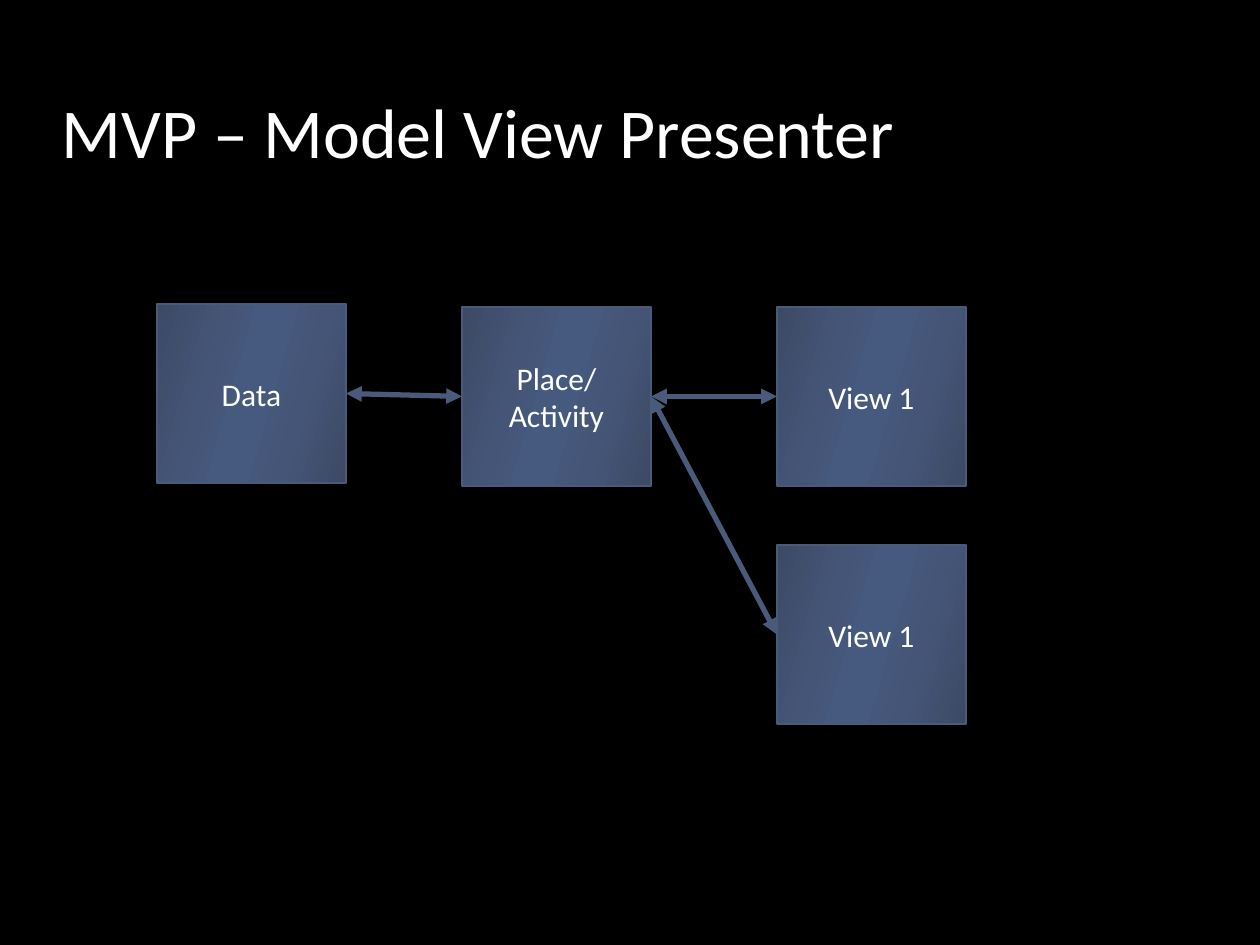
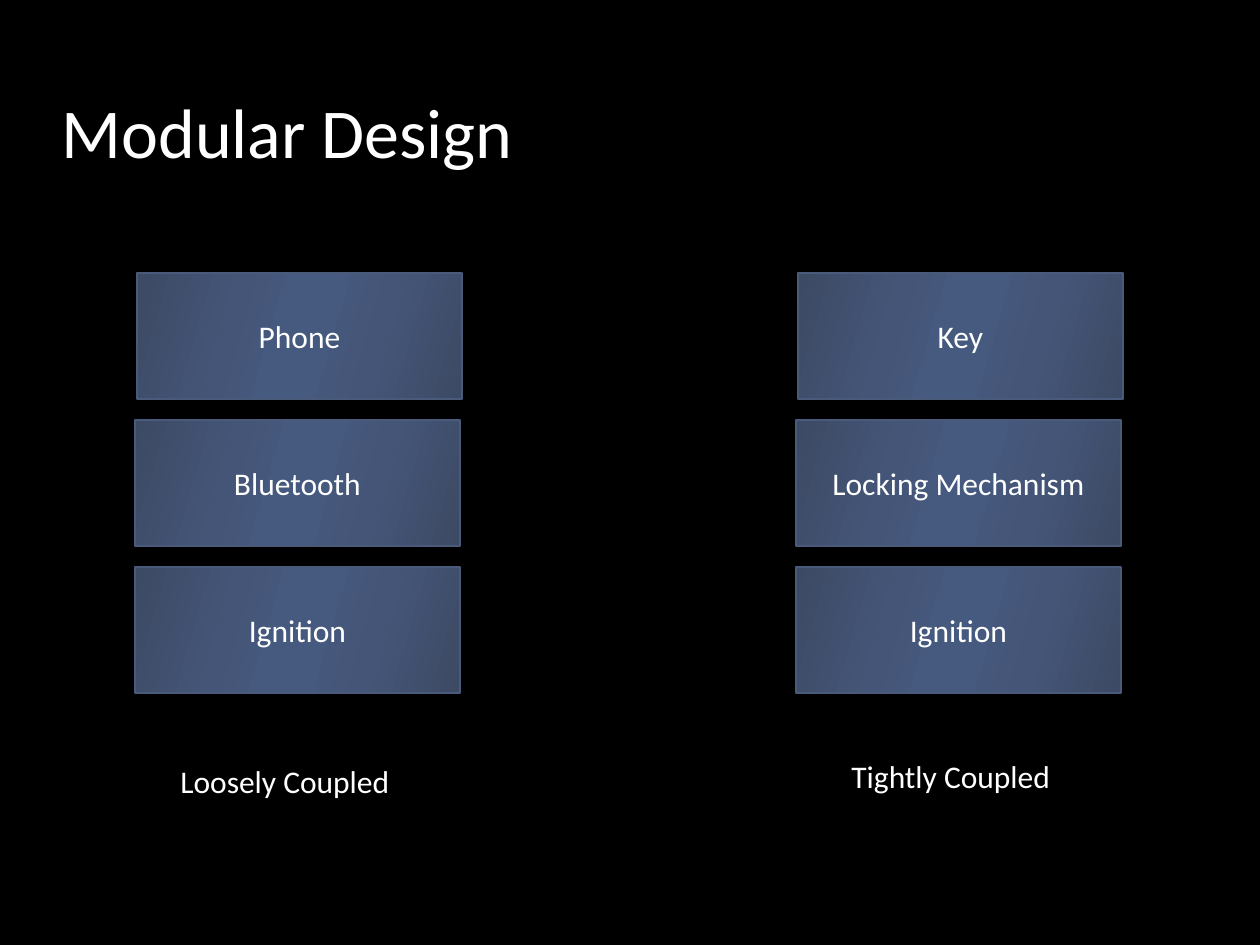
"""Build two dark slides on the MVP pattern and modular design."""
from lxml import etree
from pptx import Presentation
from pptx import util as u
from pptx.dml.color import RGBColor
from pptx.enum import shapes, text
from pptx.oxml.ns import qn

PX = u.Inches(1) / 126
FONT = "Calibri"
BLACK = RGBColor(0x00, 0x00, 0x00)
WHITE = RGBColor(0xFF, 0xFF, 0xFF)
OUTLINE = RGBColor(0x4A, 0x5A, 0x7A)
EDGE = RGBColor(0x3D, 0x4A, 0x64)
MIDDLE = RGBColor(0x44, 0x55, 0x77)
CENTRE = RGBColor(0x46, 0x59, 0x7E)
GRADIENT = [(0, EDGE), (30, MIDDLE), (45, CENTRE), (55, CENTRE), (73, MIDDLE), (100, EDGE)]


def write(box, words, size, align):
    box.text_frame.text = words
    for para in box.text_frame.paragraphs:
        para.alignment = align
        for span in para.runs:
            span.font.size = u.Pt(size)
            span.font.name = FONT
            span.font.color.rgb = WHITE


def add_block(page, words, *place):
    block = page.shapes.add_shape(shapes.MSO_SHAPE.RECTANGLE, *[round(n * PX) for n in place])
    block.shadow.inherit = False
    block.fill.gradient()
    gradient = block.element.spPr.find(qn("a:gradFill"))
    stops = gradient.find(qn("a:gsLst"))
    for stop in list(stops):
        stops.remove(stop)
    for percent, colour in GRADIENT:
        stop = etree.SubElement(stops, qn("a:gs"), pos=str(percent * 1000))
        etree.SubElement(stop, qn("a:srgbClr"), val=str(colour))
    gradient.find(qn("a:lin")).set("ang", str(16 * 60000))
    block.line.color.rgb = OUTLINE
    block.line.width = u.Pt(0.75)
    block.text_frame.vertical_anchor = text.MSO_ANCHOR.MIDDLE
    write(block, words, 18, text.PP_ALIGN.CENTER)
    return block


deck = Presentation()
deck.slide_width, deck.slide_height = u.Inches(10), u.Inches(7.5)
background = deck.slide_master.background.fill
background.solid()
background.fore_color.rgb = BLACK

pages = []
for heading in ["MVP – Model View Presenter", "Modular Design"]:
    page = deck.slides.add_slide(deck.slide_layouts[5])
    title = page.shapes.title
    title.left, title.top, title.width, title.height = [round(n * PX) for n in (49, 31, 1058, 148)]
    title.text_frame.vertical_anchor = text.MSO_ANCHOR.BOTTOM
    write(title, heading, 40, text.PP_ALIGN.LEFT)
    pages.append(page)
pattern_page, modular_page = pages

data, presenter, first_view, second_view = [
    add_block(pattern_page, words, left, top, 189, 179)
    for words, left, top in [
        ("Data", 157, 304),
        ("Place/\nActivity", 462, 307),
        ("View 1", 777, 307),
        ("View 1", 777, 545),
    ]
]

for start, end in [(presenter, first_view), (presenter, second_view), (data, presenter)]:
    arrow = pattern_page.shapes.add_connector(shapes.MSO_CONNECTOR.STRAIGHT, 0, 0, 0, 0)
    arrow.begin_connect(start, 3)
    arrow.end_connect(end, 1)
    arrow.line.color.rgb = OUTLINE
    arrow.line.width = u.Pt(3)
    for tip in ("a:headEnd", "a:tailEnd"):
        etree.SubElement(arrow.line._get_or_add_ln(), qn(tip), type="triangle")
    etree.SubElement(arrow.element.spPr, qn("a:effectLst"))

stacks = [
    (796, ["Key", "Locking Mechanism", "Ignition"]),
    (135, ["Phone", "Bluetooth", "Ignition"]),
]
for left, layers in stacks:
    for row, layer in enumerate(layers):
        nudge = 2 if row == 0 else 0
        add_block(modular_page, layer, left + nudge, 273 + 147 * row, 325, 126)

for words, *place in [("Loosely Coupled", 168, 756, 242, 50), ("Tightly Coupled", 839, 751, 232, 50)]:
    caption = modular_page.shapes.add_textbox(*[round(n * PX) for n in place])
    caption.text_frame.word_wrap = False
    caption.text_frame.auto_size = text.MSO_AUTO_SIZE.SHAPE_TO_FIT_TEXT
    write(caption, words, 18, text.PP_ALIGN.LEFT)

deck.save("out.pptx")
